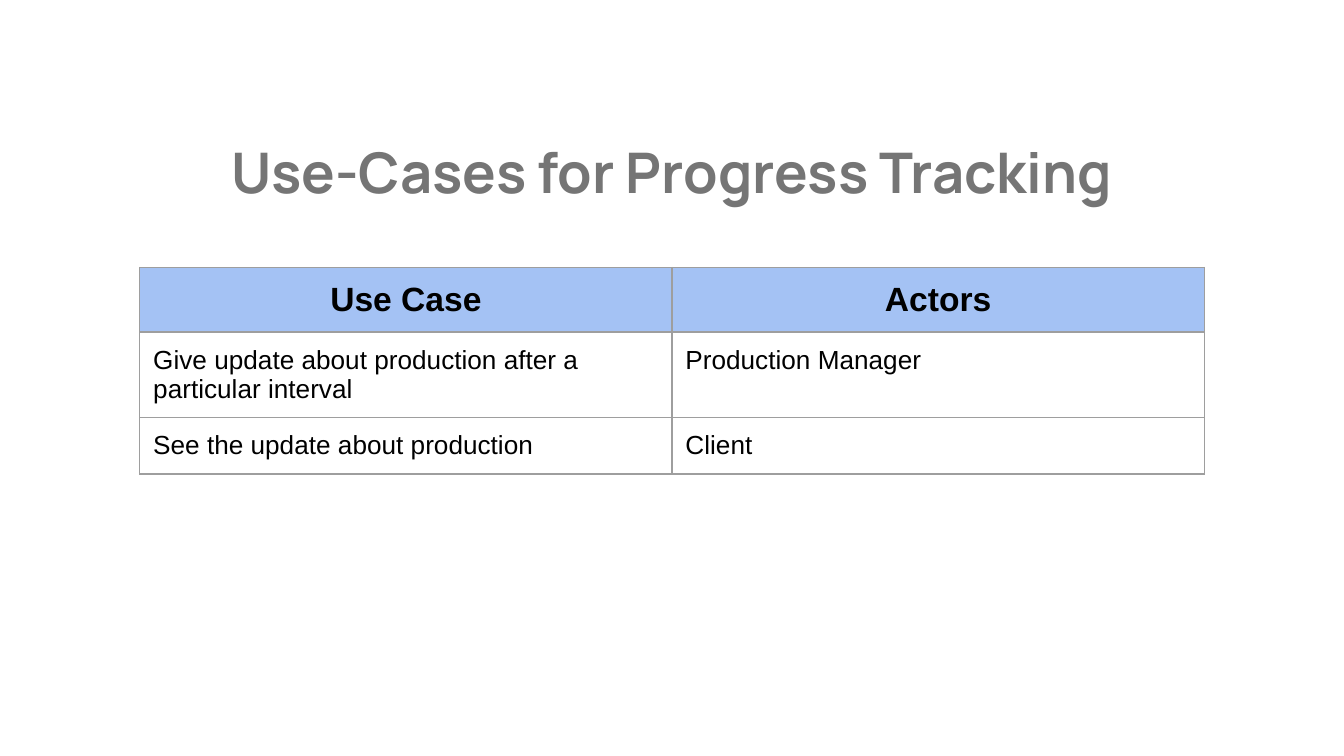
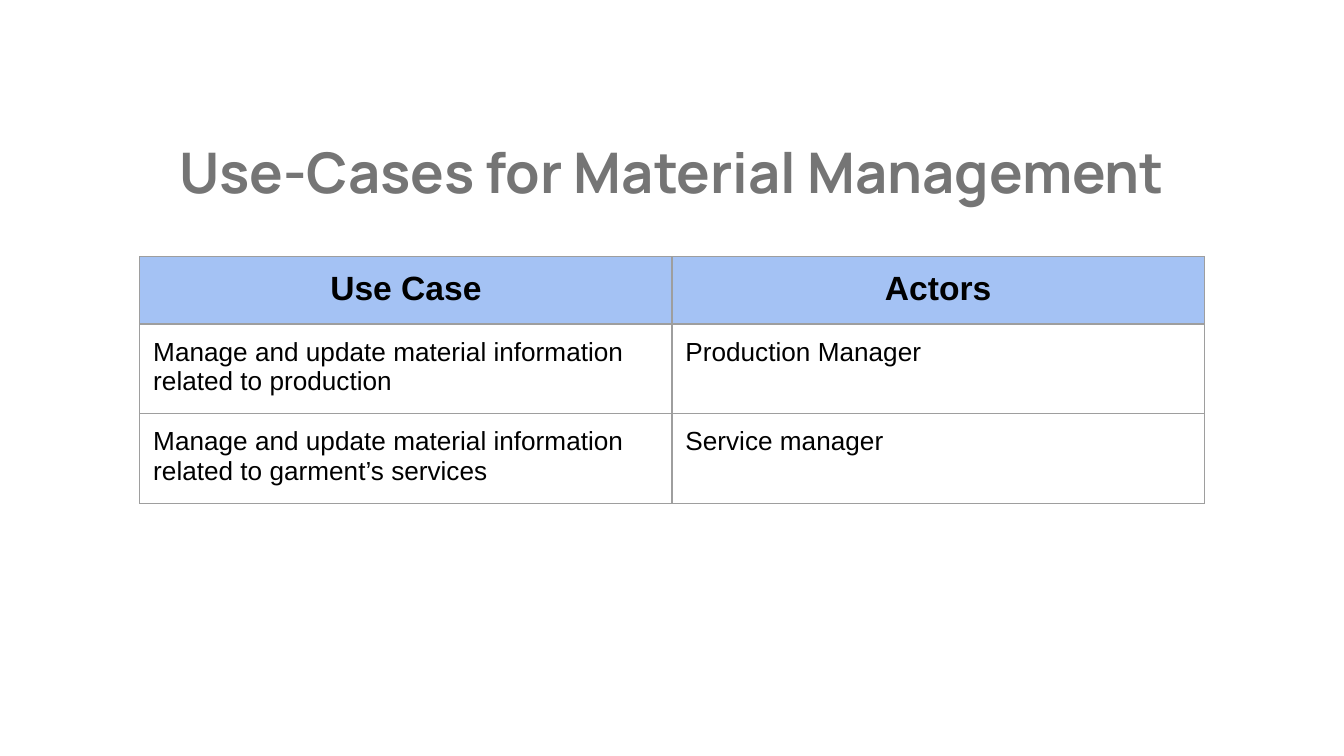
"""Build two slides that list use cases and their actors."""
from lxml.etree import SubElement
from pptx import Presentation
from pptx.dml.color import RGBColor
from pptx.enum.text import MSO_ANCHOR as Anchor, PP_ALIGN as Align
from pptx.oxml.ns import qn
from pptx.util import Inches, Pt

WHITE = RGBColor(0xFF, 0xFF, 0xFF)
BLACK = RGBColor(0x00, 0x00, 0x00)
TITLE_GRAY = RGBColor(0x75, 0x75, 0x75)
BORDER_GRAY = RGBColor(0x9E, 0x9E, 0x9E)
HEADER_BLUE = RGBColor(0xA4, 0xC2, 0xF4)

SLIDE_WIDTH = Inches(10)
SLIDE_HEIGHT = SLIDE_WIDTH * 9 // 16
INSET = Inches(0.1)
TABLE_SIZE = Inches(3.28)
COLUMN_WIDTH = Inches(3.96)
ROW_HEIGHT = Inches(0.42)
HEADER = ("Use Case", "Actors")

SLIDES = [
    ("Use-Cases for Progress Tracking", 1.99, [
        ("Give update about production after a particular interval", "Production Manager"),
        ("See the update about production", "Client"),
    ]),
    ("Use-Cases for Material Management", 1.91, [
        ("Manage and update material information related to production", "Production Manager"),
        ("Manage and update material information related to garment’s services", "Service manager"),
    ]),
]


def write_text(frame, text, *, size, font="Arial", color=BLACK, bold=False, align=Align.LEFT):
    """Put one formatted paragraph into a text frame."""
    frame.word_wrap = True
    paragraph = frame.paragraphs[0]
    paragraph.alignment = align
    run = paragraph.add_run()
    run.text = text
    run.font.size = Pt(size)
    run.font.name = font
    run.font.bold = bold
    run.font.color.rgb = color


def set_insets(holder):
    """Give a text frame or a table cell the common inset on all sides."""
    holder.margin_left = holder.margin_right = INSET
    holder.margin_top = holder.margin_bottom = INSET


def set_borders(cell):
    """Draw a thin gray line on each side of a cell."""
    properties = cell._tc.get_or_add_tcPr()
    for side in ("a:lnL", "a:lnR", "a:lnT", "a:lnB"):
        line = SubElement(properties, qn(side), w=str(Pt(0.75)))
        fill = SubElement(line, qn("a:solidFill"))
        SubElement(fill, qn("a:srgbClr"), val=str(BORDER_GRAY))


def add_title(slide, text):
    """Add the centred slide title."""
    box = slide.shapes.add_textbox(Inches(0.34), Inches(0.92), Inches(9.32), Inches(0.7))
    set_insets(box.text_frame)
    box.text_frame.vertical_anchor = Anchor.MIDDLE
    write_text(box.text_frame, text, size=30, font="Manrope", color=TITLE_GRAY,
               bold=True, align=Align.CENTER)


def fill_cell(cell, text, is_header):
    """Format a header or body cell and write its text."""
    set_insets(cell)
    set_borders(cell)
    if is_header:
        cell.fill.solid()
        cell.fill.fore_color.rgb = HEADER_BLUE
        write_text(cell.text_frame, text, size=18, bold=True, align=Align.CENTER)
    else:
        cell.fill.background()
        write_text(cell.text_frame, text, size=14)


def add_use_case_table(slide, top, use_cases):
    """Add the table of use cases and actors under its header row."""
    rows = [HEADER, *use_cases]
    frame = slide.shapes.add_table(
        len(rows), len(HEADER), Inches(1.04), Inches(top), TABLE_SIZE, TABLE_SIZE)
    table = frame.table
    table.first_row = False
    table.horz_banding = False
    for column in table.columns:
        column.width = COLUMN_WIDTH
    for row_index, row in enumerate(rows):
        table.rows[row_index].height = ROW_HEIGHT
        for column_index, text in enumerate(row):
            fill_cell(table.cell(row_index, column_index), text, row_index == 0)
    frame.width = frame.height = TABLE_SIZE


def main():
    """Build the slides and save the presentation."""
    presentation = Presentation()
    presentation.slide_width = SLIDE_WIDTH
    presentation.slide_height = SLIDE_HEIGHT
    blank_layout = presentation.slide_layouts[6]
    for title, table_top, use_cases in SLIDES:
        slide = presentation.slides.add_slide(blank_layout)
        slide.background.fill.solid()
        slide.background.fill.fore_color.rgb = WHITE
        add_use_case_table(slide, table_top, use_cases)
        add_title(slide, title)
    presentation.save("out.pptx")


if __name__ == "__main__":
    main()
